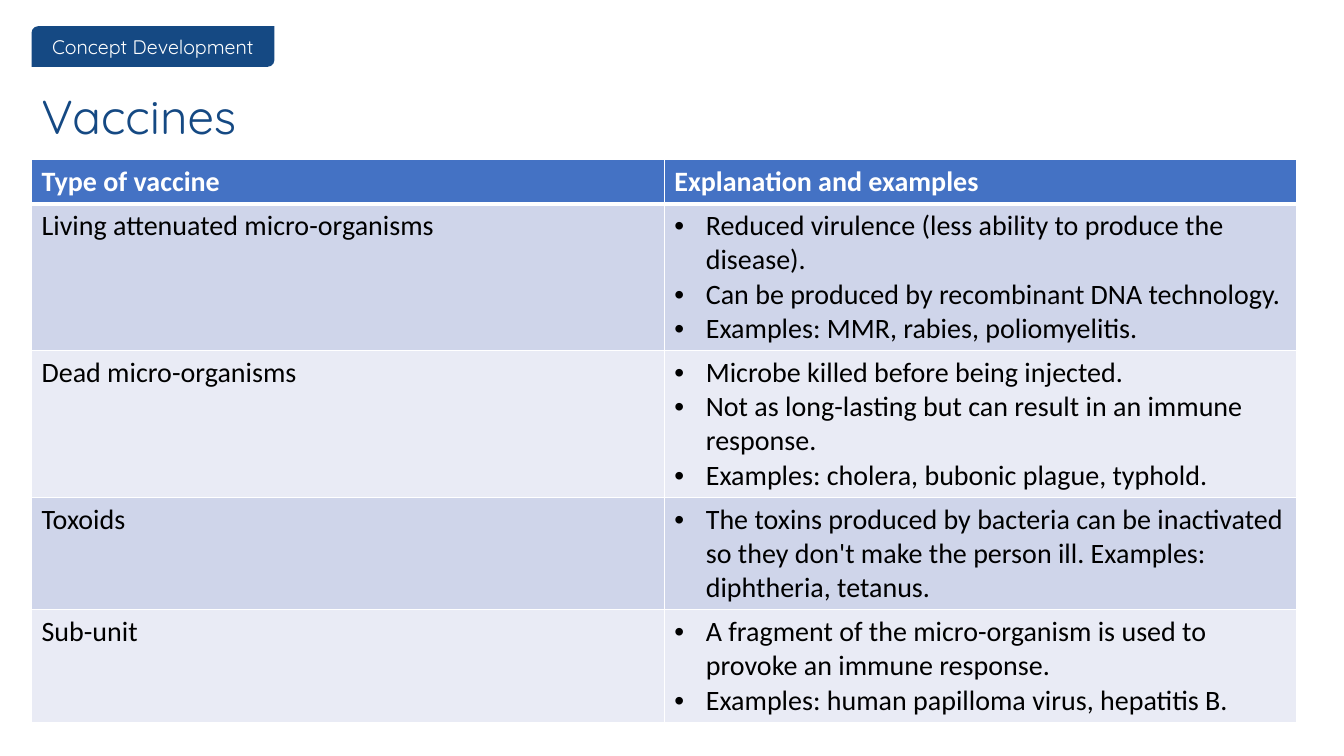
from dataclasses import dataclass

from lxml import etree
from pptx import Presentation
from pptx.dml.color import RGBColor
from pptx.enum.shapes import MSO_SHAPE
from pptx.enum.text import MSO_ANCHOR, PP_ALIGN
from pptx.oxml.ns import qn
from pptx.util import Pt

TAB_SHAPE = MSO_SHAPE.ROUND_2_DIAG_RECTANGLE
MIDDLE = MSO_ANCHOR.MIDDLE
TOP = MSO_ANCHOR.TOP
CENTER = PP_ALIGN.CENTER
LEFT = PP_ALIGN.LEFT


@dataclass(frozen=True)
class Theme:
    navy: str = "154983"
    header: str = "4472C4"
    bands: tuple = ("CFD5EA", "E9EBF5")
    white: str = "FFFFFF"
    black: str = "000000"
    display_font: str = "Quicksand"
    body_font: str = "Calibri"
    label_size: float = 14
    title_size: float = 34
    table_size: float = 20
    line_height: float = 24.4
    cell_padding: float = 7.2
    bullet_indent: float = 22.5
    border: float = 1
    header_border: float = 3


HEADINGS = ("Type of vaccine", "Explanation and examples")
VACCINES = [
    ("Living attenuated micro-organisms", 4, [
        "Reduced virulence (less ability to produce the disease).",
        "Can be produced by recombinant DNA technology.",
        "Examples: MMR, rabies, poliomyelitis.",
    ]),
    ("Dead micro-organisms", 4, [
        "Microbe killed before being injected.",
        "Not as long-lasting but can result in an immune response.",
        "Examples: cholera, bubonic plague, typhold.",
    ]),
    ("Toxoids", 3, [
        "The toxins produced by bacteria can be inactivated so they don't "
        "make the person ill. Examples: diphtheria, tetanus.",
    ]),
    ("Sub-unit", 3, [
        "A fragment of the micro-organism is used to provoke an immune response.",
        "Examples: human papilloma virus, hepatitis B.",
    ]),
]


def write_text(frame, lines, *, font, size, color, bold=False, align=LEFT,
               spacing=None, bullet_indent=None):
    for index, line in enumerate(lines):
        paragraph = frame.paragraphs[0] if index == 0 else frame.add_paragraph()
        paragraph.alignment = align
        if spacing:
            paragraph.line_spacing = spacing
        if bullet_indent:
            properties = paragraph._p.get_or_add_pPr()
            properties.set("marL", str(Pt(bullet_indent)))
            properties.set("indent", str(-Pt(bullet_indent)))
            etree.SubElement(properties, qn("a:buFont"), typeface="Arial")
            etree.SubElement(properties, qn("a:buChar"), char="•")
        run = paragraph.add_run()
        run.text = line
        run.font.name = font
        run.font.size = Pt(size)
        run.font.bold = bold
        run.font.color.rgb = RGBColor.from_string(color)


class SlideBuilder:
    def __init__(self, slide, theme):
        self.slide = slide
        self.theme = theme

    def label(self, text, left, top, width, height):
        theme = self.theme
        shape = self.slide.shapes.add_shape(
            TAB_SHAPE, Pt(left), Pt(top), Pt(width), Pt(height))
        shape.shadow.inherit = False
        shape.fill.solid()
        shape.fill.fore_color.rgb = RGBColor.from_string(theme.navy)
        shape.line.fill.background()
        shape.text_frame.vertical_anchor = MIDDLE
        write_text(shape.text_frame, [text], font=theme.display_font,
                   size=theme.label_size, color=theme.white, align=CENTER)

    def title(self, text, left, top, width, height):
        theme = self.theme
        box = self.slide.shapes.add_textbox(Pt(left), Pt(top), Pt(width), Pt(height))
        box.text_frame.word_wrap = True
        box.text_frame.vertical_anchor = TOP
        write_text(box.text_frame, [text], font=theme.display_font,
                   size=theme.title_size, color=theme.navy, spacing=0.9)

    def cell(self, cell, lines, fill, top_border, bottom_border, **text_format):
        theme = self.theme
        properties = cell._tc.get_or_add_tcPr()
        widths = {"lnL": theme.border, "lnR": theme.border,
                  "lnT": top_border, "lnB": bottom_border}
        for side, width in widths.items():
            line = etree.SubElement(properties, qn(f"a:{side}"), w=str(Pt(width)))
            solid = etree.SubElement(line, qn("a:solidFill"))
            etree.SubElement(solid, qn("a:srgbClr"), val=theme.white)
        cell.fill.solid()
        cell.fill.fore_color.rgb = RGBColor.from_string(fill)
        write_text(cell.text_frame, lines, font=theme.body_font,
                   size=theme.table_size, **text_format)

    def table(self, headings, entries, left, top, width):
        theme = self.theme
        heights = [theme.line_height * count + theme.cell_padding
                   for count in [1] + [entry[1] for entry in entries]]
        table = self.slide.shapes.add_table(
            len(heights), len(headings), Pt(left), Pt(top),
            Pt(width), Pt(sum(heights))).table
        for row, height in zip(table.rows, heights):
            row.height = Pt(height)
        for column, heading in enumerate(headings):
            table.columns[column].width = Pt(width / len(headings))
            self.cell(table.cell(0, column), [heading], theme.header,
                      theme.border, theme.header_border,
                      color=theme.white, bold=True)
        for row, (name, _, points) in enumerate(entries, start=1):
            fill = theme.bands[(row - 1) % len(theme.bands)]
            top_border = theme.header_border if row == 1 else theme.border
            for column, (lines, indent) in enumerate(
                    [([name], None), (points, theme.bullet_indent)]):
                self.cell(table.cell(row, column), lines, fill, top_border,
                          theme.border, color=theme.black, bullet_indent=indent)


def main():
    presentation = Presentation()
    presentation.slide_width = Pt(960)
    presentation.slide_height = Pt(540)
    slide = presentation.slides.add_slide(presentation.slide_layouts[6])
    builder = SlideBuilder(slide, Theme())
    left, width = 22.5, 904
    builder.label("Concept Development", left, 18.7, 173.5, 29)
    builder.title("Vaccines", left, 63.4, width, 41)
    builder.table(HEADINGS, VACCINES, left, 114, width)
    presentation.save("out.pptx")


if __name__ == "__main__":
    main()
